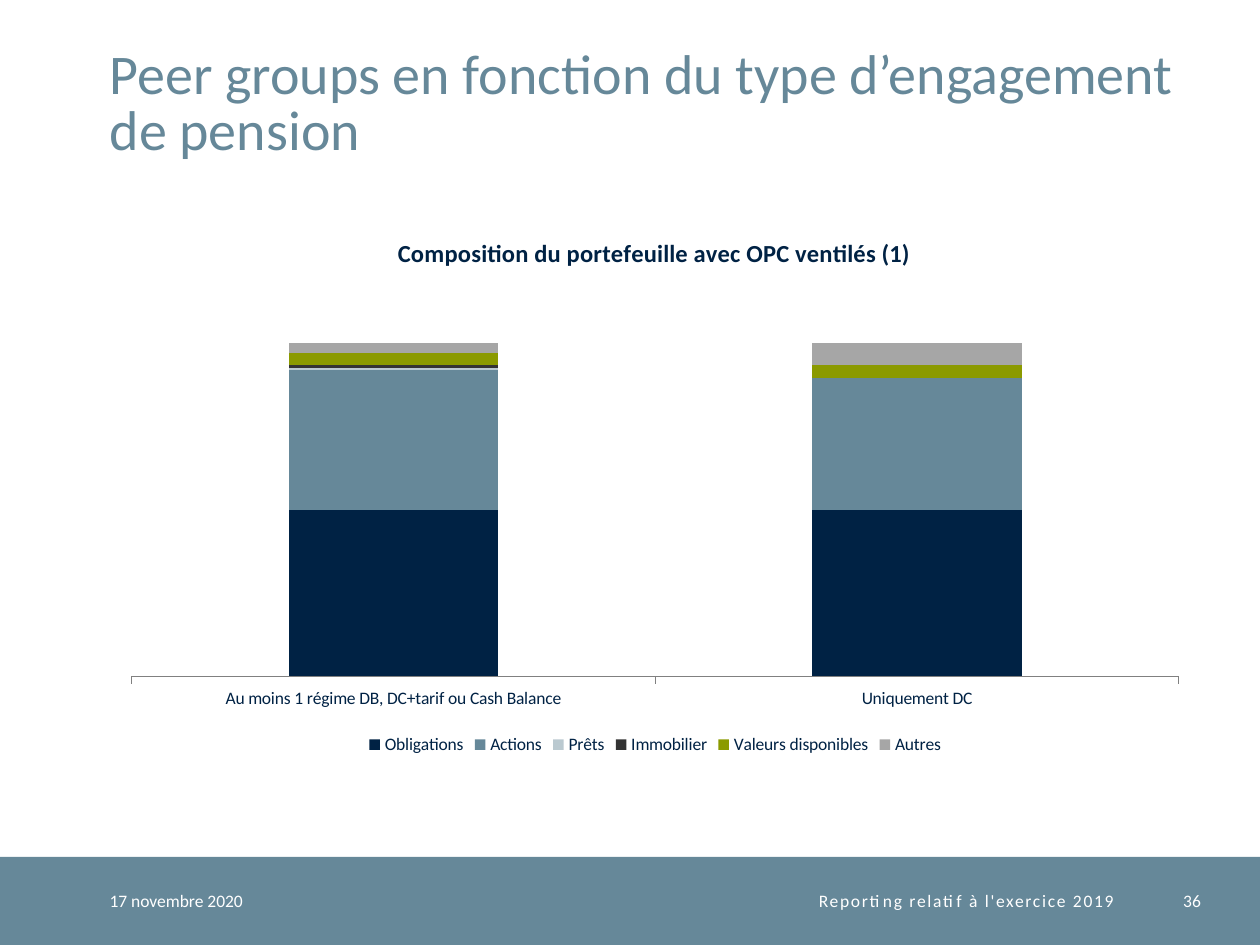
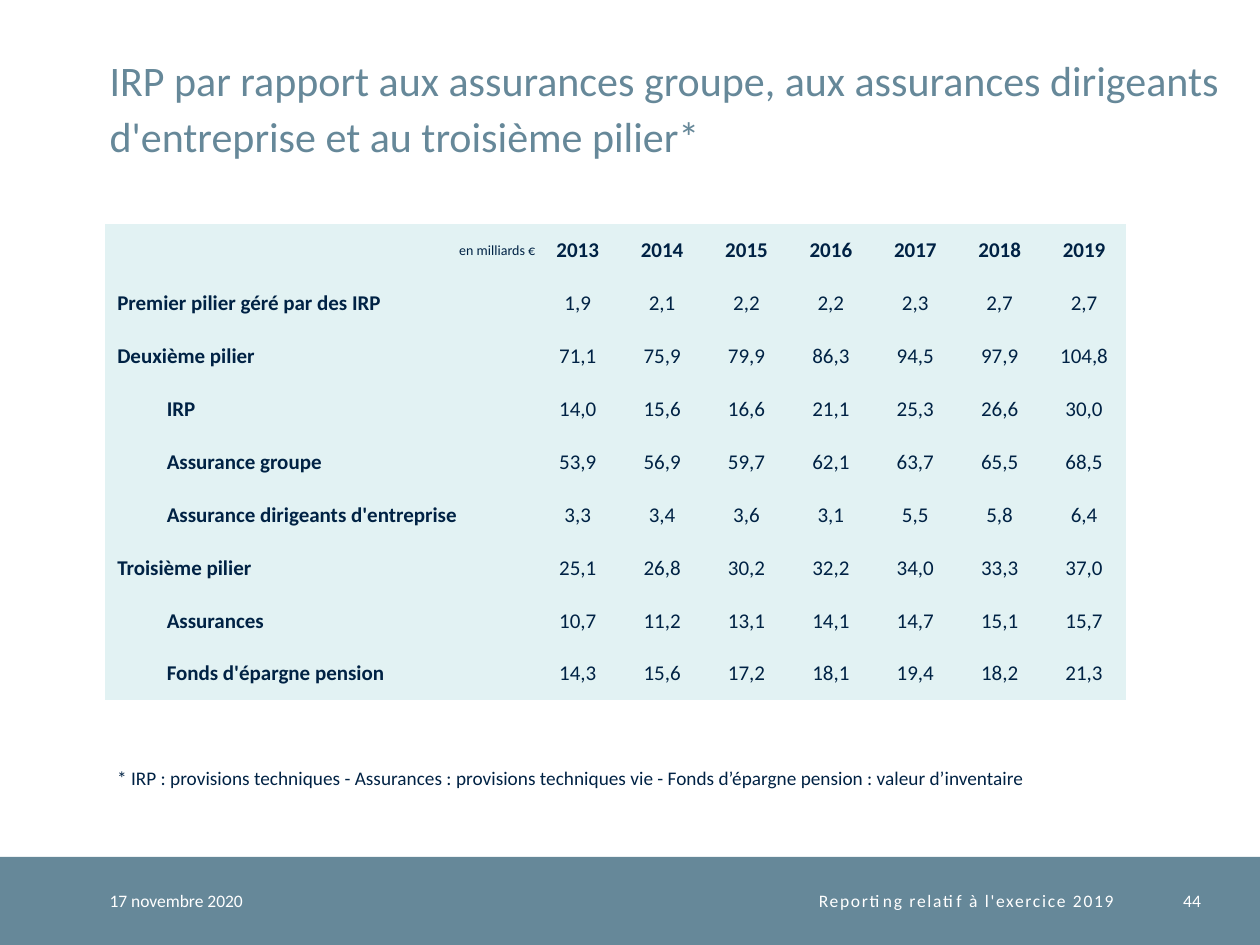
from lxml import etree
from pptx import Presentation
from pptx.chart.data import CategoryChartData
from pptx.dml.color import RGBColor
from pptx.enum.chart import XL_CHART_TYPE as ChartType, XL_LEGEND_POSITION as LegendPosition
from pptx.enum.chart import XL_TICK_MARK as TickMark
from pptx.enum.shapes import MSO_SHAPE as ShapeKind
from pptx.enum.text import MSO_ANCHOR as Anchor, MSO_AUTO_SIZE as AutoSize, PP_ALIGN as Align
from pptx.oxml.ns import qn
from pptx.util import Pt

FONT = "Calibri"
WHITE = RGBColor(0xFF, 0xFF, 0xFF)
NAVY = RGBColor(0x00, 0x22, 0x44)
STEEL = RGBColor(0x66, 0x88, 0x99)
MIST = RGBColor(0xBA, 0xC9, 0xD0)
CHARCOAL = RGBColor(0x33, 0x33, 0x33)
OLIVE = RGBColor(0x8B, 0x9A, 0x00)
GREY = RGBColor(0xA6, 0xA6, 0xA6)
AXIS_GREY = RGBColor(0x80, 0x80, 0x80)
PALE_TEAL = RGBColor(0xE2, 0xF2, 0xF3)

# Boxes are (left, top, width, height) in points.
PAGE_SIZE = (720, 540)
FOOTER_BOX = (0, 489.6, 720, 50.4)
LEFT_MARGIN = 62.64
CHART_BOX = (LEFT_MARGIN, 116.6, 623.5, 317.5)
TABLE_BOX = (59.8, 128.2, 583.9, 272.2)
NOTE_BOX = (59.8, 434.2, 583.9, 20.9)

DATE = "17 novembre 2020"
REPORT = "Reporting relatif à l'exercice 2019"
NO_STYLE = "{2D5ABB26-0587-4C30-8999-92F81FD0307C}"

CATEGORIES = ["Au moins 1 régime DB, DC+tarif ou Cash Balance", "Uniquement DC"]
ASSETS = [
    ("Obligations", (100, 100), NAVY),
    ("Actions", (84, 79), STEEL),
    ("Prêts", (1, 0), MIST),
    ("Immobilier", (2, 0), CHARCOAL),
    ("Valeurs disponibles", (7, 8), OLIVE),
    ("Autres", (6, 13), GREY),
]

YEARS = range(2013, 2020)
# Each row: indent level, label, one value per year.
PILLARS = [
    (0, "Premier pilier géré par des IRP", "1,9 2,1 2,2 2,2 2,3 2,7 2,7"),
    (0, "Deuxième pilier", "71,1 75,9 79,9 86,3 94,5 97,9 104,8"),
    (1, "IRP", "14,0 15,6 16,6 21,1 25,3 26,6 30,0"),
    (1, "Assurance groupe", "53,9 56,9 59,7 62,1 63,7 65,5 68,5"),
    (1, "Assurance dirigeants d'entreprise", "3,3 3,4 3,6 3,1 5,5 5,8 6,4"),
    (0, "Troisième pilier", "25,1 26,8 30,2 32,2 34,0 33,3 37,0"),
    (1, "Assurances", "10,7 11,2 13,1 14,1 14,7 15,1 15,7"),
    (1, "Fonds d'épargne pension", "14,3 15,6 17,2 18,1 19,4 18,2 21,3"),
]


def to_points(box):
    return [Pt(length) for length in box]


def set_font(font, size, color, bold=False):
    font.name, font.size, font.bold = FONT, Pt(size), bold
    font.color.rgb = color


def clear_margins(frame):
    frame.margin_left = frame.margin_top = frame.margin_right = frame.margin_bottom = 0


def add_text(page, box, text, size, color, align=Align.LEFT):
    frame = page.shapes.add_textbox(*to_points(box)).text_frame
    frame.word_wrap = True
    para = frame.paragraphs[0]
    para.text, para.alignment = text, align
    set_font(para.font, size, color)
    return frame


def add_footer(page, box, number):
    left, top, width, height = box
    band = page.shapes.add_shape(ShapeKind.RECTANGLE, *to_points(box))
    band.shadow.inherit = False
    band.fill.solid()
    band.fill.fore_color.rgb = STEEL
    band.line.fill.background()
    entries = [
        (LEFT_MARGIN, 127.4, DATE, Align.LEFT),
        (190.1, 446.4, REPORT, Align.RIGHT),
        (650.9, 35.3, str(number), Align.RIGHT),
    ]
    for offset, entry_width, text, align in entries:
        frame = add_text(page, (left + offset, top, entry_width, height), text, 10, WHITE, align)
        clear_margins(frame)
        frame.vertical_anchor = Anchor.MIDDLE
        if text == REPORT:
            frame.paragraphs[0].runs[0].font._element.set("spc", "100")


def add_page(deck, title, title_size, title_width, number):
    page = deck.slides.add_slide(deck.slide_layouts[5])
    heading = page.shapes.title
    heading.left, heading.top, heading.width, heading.height = to_points(
        (LEFT_MARGIN, 14.4, title_width, 77.8))
    frame = heading.text_frame
    clear_margins(frame)
    frame.word_wrap, frame.auto_size = True, AutoSize.NONE
    frame.vertical_anchor = Anchor.BOTTOM
    para = frame.paragraphs[0]
    para.text, para.alignment, para.line_spacing = title, Align.LEFT, Pt(32)
    set_font(para.font, title_size, STEEL)
    add_footer(page, FOOTER_BOX, number)
    return page


def set_layout(parent, index, **settings):
    """Place a chart part by hand, as fractions of the chart."""
    for old in parent.findall(qn("c:layout")):
        parent.remove(old)
    layout = etree.Element(qn("c:layout"))
    manual = etree.SubElement(layout, qn("c:manualLayout"))
    for name, value in settings.items():
        etree.SubElement(manual, qn(f"c:{name}")).set("val", str(value))
    parent.insert(index, layout)


def add_portfolio_chart(page, box):
    data = CategoryChartData(number_format="0")
    data.categories = CATEGORIES
    for name, values, _ in ASSETS:
        data.add_series(name, values)
    chart = page.shapes.add_chart(ChartType.COLUMN_STACKED, *to_points(box), data).chart
    set_font(chart.font, 10, NAVY)

    title = chart.chart_title
    title.text_frame.text = "Composition du portefeuille avec OPC ventilés (1)"
    set_font(title.text_frame.paragraphs[0].runs[0].font, 14, NAVY, bold=True)
    set_layout(title._element, 1, xMode="edge", yMode="edge", x=0.26, y=0.05)

    plot = chart.plots[0]
    plot.gap_width, plot.overlap, plot.vary_by_categories = 150, 100, False
    for series, (_, _, color) in zip(plot.series, ASSETS):
        series.format.fill.solid()
        series.format.fill.fore_color.rgb = color
    set_layout(plot._element.getparent(), 0, layoutTarget="inner", xMode="edge",
               yMode="edge", x=0.02, y=0.1, w=0.96, h=0.75)

    value_axis = chart.value_axis
    value_axis.minimum_scale, value_axis.maximum_scale = 0, 250
    value_axis.has_major_gridlines = False
    value_axis.visible = False
    category_axis = chart.category_axis
    category_axis.major_tick_mark = TickMark.OUTSIDE
    category_axis.format.line.color.rgb = AXIS_GREY

    chart.has_legend = True
    chart.legend.position = LegendPosition.BOTTOM
    chart.legend.include_in_layout = False


def fill_cell(cell, text, size, bold, align, indent=0):
    clear_margins(cell)
    cell.margin_left = Pt(indent)
    cell.vertical_anchor = Anchor.MIDDLE
    cell.fill.solid()
    cell.fill.fore_color.rgb = PALE_TEAL
    para = cell.text_frame.paragraphs[0]
    para.text, para.alignment = text, align
    set_font(para.font, size, NAVY, bold)


def add_pillar_table(page, box):
    year_width = 48.24
    shape = page.shapes.add_table(len(PILLARS) + 1, len(YEARS) + 1, *to_points(box))
    shape._element.xpath(".//a:tableStyleId")[0].text = NO_STYLE
    table = shape.table
    table.first_row = table.horz_banding = False
    for column in table.columns:
        column.width = Pt(year_width)
    table.columns[0].width = Pt(box[2] - year_width * len(YEARS))
    for row in table.rows:
        row.height = Pt(box[3] / len(table.rows))

    fill_cell(table.cell(0, 0), "en milliards €", 8, False, Align.RIGHT)
    for column, year in enumerate(YEARS, 1):
        fill_cell(table.cell(0, column), str(year), 12, True, Align.CENTER)
    for row, (level, label, values) in enumerate(PILLARS, 1):
        fill_cell(table.cell(row, 0), label, 12, True, Align.LEFT, 7.2 + 28.3 * level)
        for column, value in enumerate(values.split(), 1):
            fill_cell(table.cell(row, column), value, 12, False, Align.CENTER)


def main():
    deck = Presentation()
    deck.slide_width, deck.slide_height = to_points(PAGE_SIZE)

    page = add_page(deck, "Peer groups en fonction du type d’engagement de pension", 32, 621.4, 36)
    add_portfolio_chart(page, CHART_BOX)

    page = add_page(deck, "IRP par rapport aux assurances groupe, aux assurances dirigeants "
                    "d'entreprise et au troisième pilier*", 24, 637.9, 44)
    add_pillar_table(page, TABLE_BOX)
    add_text(page, NOTE_BOX, "* IRP : provisions techniques - Assurances : provisions techniques "
             "vie - Fonds d’épargne pension : valeur d’inventaire", 11, NAVY)

    deck.save("out.pptx")


if __name__ == "__main__":
    main()
